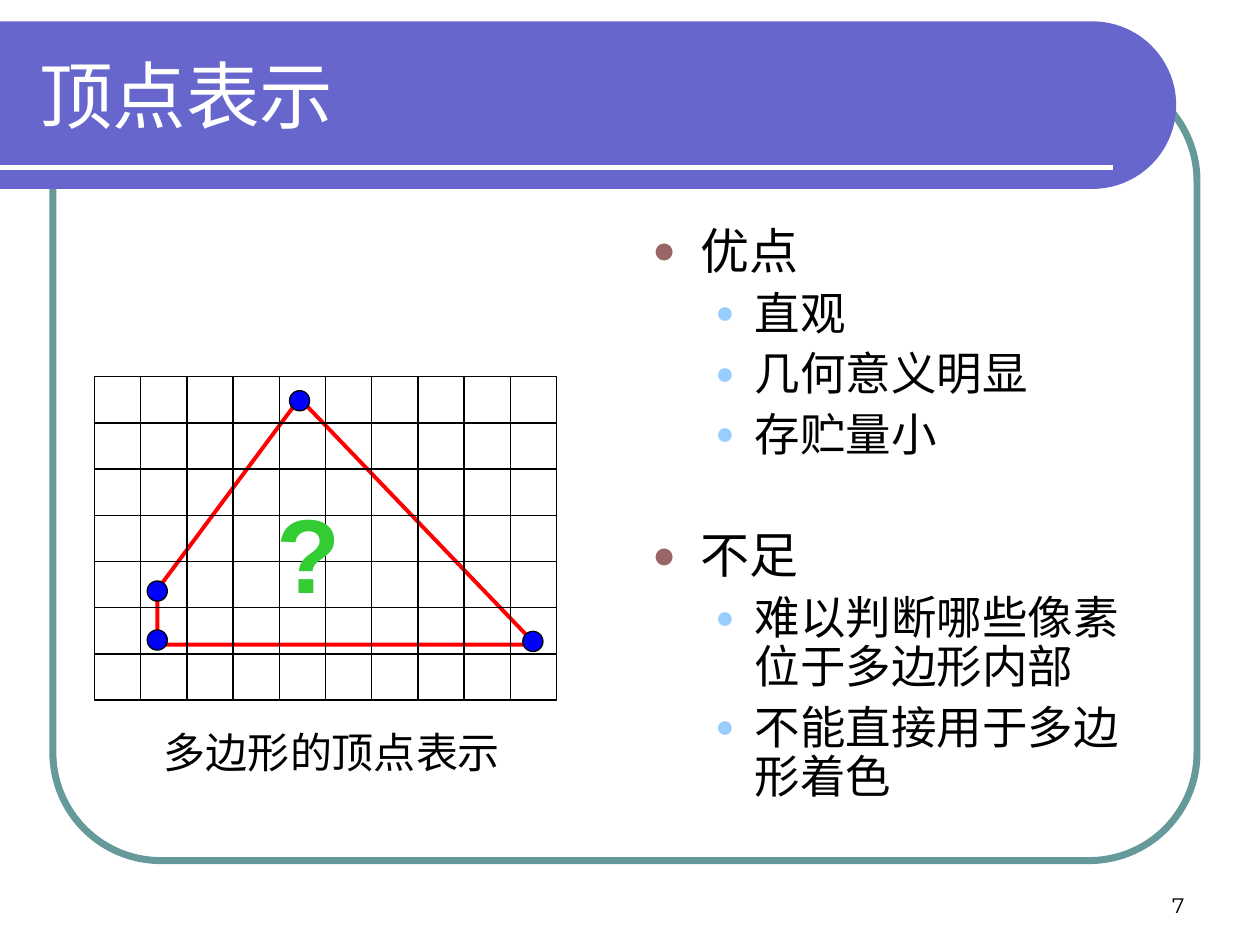
"""Build the slide on the vertex representation of polygons."""
import math
from itertools import product
from typing import NamedTuple, Optional

from lxml import etree
from pptx import Presentation
from pptx.dml.color import RGBColor
from pptx.enum.shapes import MSO_CONNECTOR, MSO_SHAPE
from pptx.enum.text import MSO_ANCHOR, MSO_AUTO_SIZE, PP_ALIGN
from pptx.oxml.ns import qn
from pptx.util import Inches, Pt

STRAIGHT = MSO_CONNECTOR.STRAIGHT
RECTANGLE, ROUNDED, OVAL = MSO_SHAPE.RECTANGLE, MSO_SHAPE.ROUNDED_RECTANGLE, MSO_SHAPE.OVAL
TOP, MIDDLE, BOTTOM = MSO_ANCHOR.TOP, MSO_ANCHOR.MIDDLE, MSO_ANCHOR.BOTTOM
LEFT, CENTER, RIGHT = PP_ALIGN.LEFT, PP_ALIGN.CENTER, PP_ALIGN.RIGHT
NO_AUTOFIT = MSO_AUTO_SIZE.NONE

BLACK, WHITE, VIOLET, TEAL = "000000", "FFFFFF", "6666CC", "669999"
RED, BLUE, GREEN = "FF0000", "0000FF", "33CC33"
TITLE_ONLY = 5
COLUMNS, ROWS, CELL = 10, 7, 11 / 30
GRID_LEFT, GRID_TOP = 0.75, 2.99
DOT = 0.16


class Box(NamedTuple):
    """A rectangle in inches."""
    left: float
    top: float
    width: float
    height: float


class Style(NamedTuple):
    """The look of a run of text."""
    size: float
    font: str
    color: str
    bold: bool = False


class Level(NamedTuple):
    """The look of one outline level."""
    size: float
    margin: float
    hanging: float
    space: float
    bullet_color: str
    bullet_percent: int


class Point(NamedTuple):
    """A place in grid columns and rows."""
    column: float
    row: float


class Item(NamedTuple):
    """One line of the outline."""
    text: str
    level: Level
    space: Optional[float] = None


HEADING = Level(28, 0.38, 0.38, 7, "996666", 80)
DETAIL = Level(26, 0.81, 0.31, 6.5, "99CCFF", 70)
OUTLINE = [
    Item("优点", HEADING, 0),
    Item("直观", DETAIL),
    Item("几何意义明显", DETAIL),
    Item("存贮量小", DETAIL),
    Item("不足", HEADING, 40),
    Item("难以判断哪些像素位于多边形内部", DETAIL),
    Item("不能直接用于多边形着色", DETAIL),
]
CORNERS = [Point(4.44, 0.47), Point(1.36, 4.61), Point(1.36, 5.8), Point(9.55, 5.8)]
DOTS = [Point(4.44, 0.52), Point(1.36, 4.64), Point(1.36, 5.7), Point(9.49, 5.73)]


def rgb(color: str) -> RGBColor:
    """Turn a hex string into a colour."""
    return RGBColor.from_string(color)


def on_grid(point: Point) -> tuple[float, float]:
    """Give the place of a grid point in inches."""
    return GRID_LEFT + point.column * CELL, GRID_TOP + point.row * CELL


def paint(shape, fill: Optional[str], line: Optional[str], weight: float = 0.75) -> None:
    """Set the fill and the line of a shape."""
    shape.shadow.inherit = False
    if fill:
        shape.fill.solid()
        shape.fill.fore_color.rgb = rgb(fill)
    else:
        shape.fill.background()
    if line:
        shape.line.color.rgb = rgb(line)
        shape.line.width = Pt(weight)
    else:
        shape.line.fill.background()


def add_preset(slide, kind, box: Box, fill: Optional[str], line: str, weight: float = 0.75):
    """Add a painted preset shape."""
    shape = slide.shapes.add_shape(kind, *map(Inches, box))
    paint(shape, fill, line, weight)
    return shape


def add_outline(slide, points: list[tuple[float, float]], fill: str,
                line: Optional[str], weight: float = 0.75):
    """Add a closed painted polygon through points in inches."""
    start, *rest = [(Inches(x), Inches(y)) for x, y in points]
    builder = slide.shapes.build_freeform(*start)
    builder.add_line_segments(rest, close=True)
    shape = builder.convert_to_shape()
    paint(shape, fill, line, weight)
    return shape


def style_paragraph(paragraph, style: Style, align=LEFT) -> None:
    """Align a paragraph and format its runs."""
    paragraph.alignment = align
    for run in paragraph.runs:
        run.font.size = Pt(style.size)
        run.font.name = style.font
        run.font.bold = style.bold
        run.font.color.rgb = rgb(style.color)


def write(shape, text: str, style: Style, align, anchor=TOP) -> None:
    """Put one styled paragraph into a shape."""
    frame = shape.text_frame
    frame.text = text
    frame.word_wrap = True
    frame.auto_size = NO_AUTOFIT
    frame.vertical_anchor = anchor
    style_paragraph(frame.paragraphs[0], style, align)


def add_text(slide, box: Box, text: str, style: Style, align, anchor=TOP) -> None:
    """Add a text box with one paragraph."""
    write(slide.shapes.add_textbox(*map(Inches, box)), text, style, align, anchor)


def add_bullet(paragraph, level: Level) -> None:
    """Give a paragraph its indent and round bullet."""
    properties = paragraph._p.get_or_add_pPr()
    properties.set("marL", str(Inches(level.margin)))
    properties.set("indent", str(-Inches(level.hanging)))
    color = etree.SubElement(properties, qn("a:buClr"))
    etree.SubElement(color, qn("a:srgbClr"), val=level.bullet_color)
    etree.SubElement(properties, qn("a:buSzPct"), val=str(level.bullet_percent * 1000))
    etree.SubElement(properties, qn("a:buFont"), typeface="Arial")
    etree.SubElement(properties, qn("a:buChar"), char="●")


def add_frame(slide):
    """Draw the rounded frame, the banner and its rule."""
    frame = add_preset(slide, ROUNDED, Box(0.42, 0.58, 9.08, 6.25), None, TEAL, 4)
    frame.adjustments[0] = 0.137
    radius, center_x, center_y = 0.665, 8.67, 0.835
    angles = [math.radians(degrees) for degrees in range(-90, 91, 3)]
    arc = [(center_x + radius * math.cos(angle), center_y + radius * math.sin(angle))
           for angle in angles]
    add_outline(slide, [(0, 0.17), *arc, (0, 1.5)], VIOLET, None)
    rule = slide.shapes.add_connector(STRAIGHT, 0, Inches(1.33), Inches(8.83), Inches(1.33))
    rule.line.color.rgb = rgb(WHITE)
    rule.line.width = Pt(3)
    etree.SubElement(rule.element.spPr, qn("a:effectLst"))
    return rule


def add_title(slide, below) -> None:
    """Place the title just in front of another shape."""
    title = slide.shapes.title
    title.left, title.top, title.width, title.height = map(Inches, Box(0.21, 0.25, 8.77, 1))
    write(title, "顶点表示", Style(42, "Arial", WHITE), LEFT, MIDDLE)
    below.element.addnext(title.element)


def add_points(slide) -> None:
    """Write the outline of strengths and weaknesses."""
    frame = slide.shapes.add_textbox(*map(Inches, Box(5.08, 1.75, 4.25, 4.83))).text_frame
    frame.word_wrap = True
    frame.text = "\n".join(item.text for item in OUTLINE)
    for paragraph, item in zip(frame.paragraphs, OUTLINE):
        level = item.level
        add_bullet(paragraph, level)
        paragraph.level = int(level is DETAIL)
        paragraph.line_spacing = 0.9
        paragraph.space_before = Pt(level.space if item.space is None else item.space)
        style_paragraph(paragraph, Style(level.size, "Arial", BLACK))


def add_polygon(slide) -> None:
    """Draw the polygon under its pixel grid, with dots on its vertices."""
    add_outline(slide, [on_grid(corner) for corner in CORNERS], WHITE, RED, 2.25)
    for column, row in product(range(COLUMNS), range(ROWS)):
        add_preset(slide, RECTANGLE, Box(*on_grid(Point(column, row)), CELL, CELL), None, BLACK)
    for dot in DOTS:
        x, y = on_grid(dot)
        add_preset(slide, OVAL, Box(x - DOT / 2, y - DOT / 2, DOT, DOT), BLUE, BLACK)


def main() -> None:
    """Build and save the presentation."""
    presentation = Presentation()
    presentation.slide_width, presentation.slide_height = Inches(10), Inches(7.5)
    slide = presentation.slides.add_slide(presentation.slide_layouts[TITLE_ONLY])
    add_title(slide, add_frame(slide))
    add_points(slide)
    add_polygon(slide)
    add_text(slide, Box(2.09, 3.83, 0.71, 1.1), "?", Style(60, "Arial", GREEN, True), CENTER)
    add_text(slide, Box(1.06, 5.72, 3.15, 0.5), "多边形的顶点表示",
             Style(24, "Times New Roman", BLACK), CENTER)
    add_text(slide, Box(7.17, 6.83, 2.33, 0.5), "7",
             Style(12, "Montserrat", BLACK), RIGHT, BOTTOM)
    presentation.save("out.pptx")


if __name__ == "__main__":
    main()
